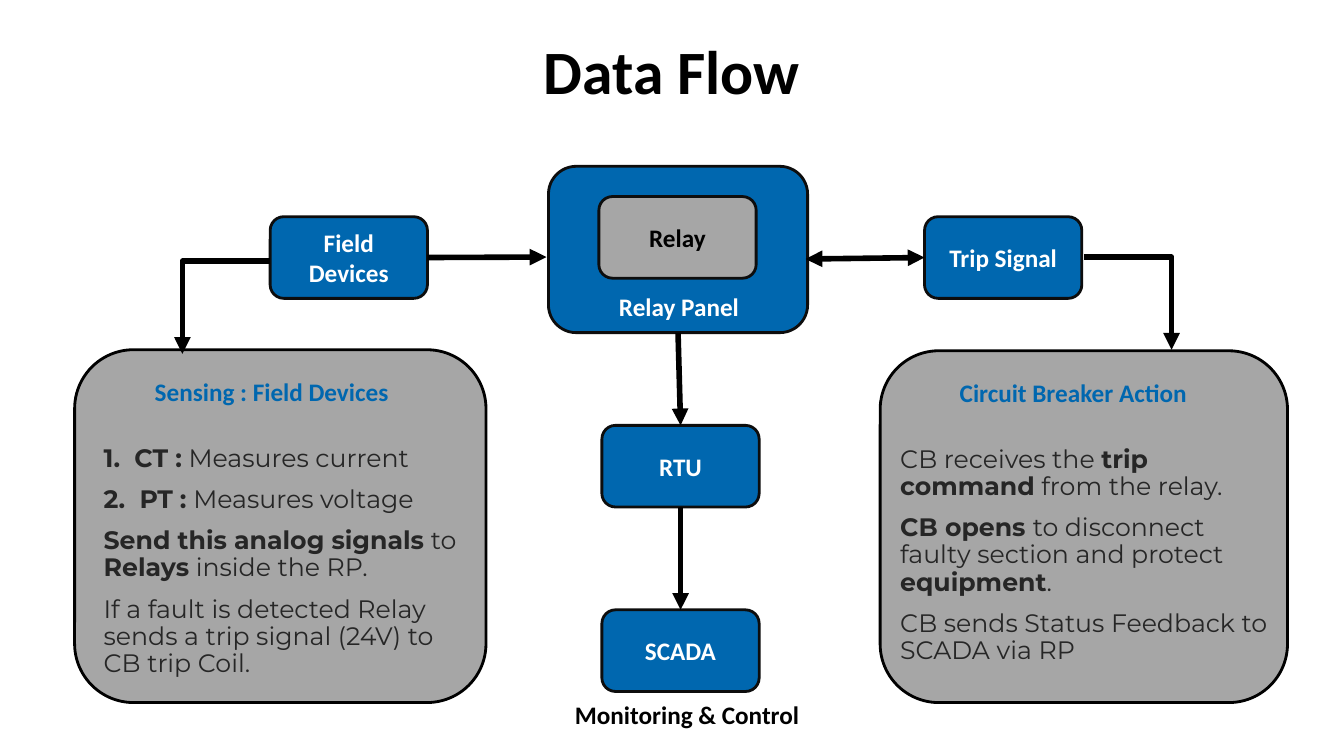
from dataclasses import dataclass

import pptx
import pptx.dml.color
import pptx.enum.shapes
import pptx.enum.text
import pptx.oxml.ns
import pptx.util
from lxml import etree

Inches = pptx.util.Inches
Pt = pptx.util.Pt
Align = pptx.enum.text.PP_ALIGN
Anchor = pptx.enum.text.MSO_ANCHOR
Connector = pptx.enum.shapes.MSO_CONNECTOR
TOP, LEFT, BOTTOM, RIGHT = range(4)


@dataclass(frozen=True)
class Theme:
    blue: str = "0067AF"
    gray: str = "A6A6A6"
    black: str = "000000"
    edge: str = "0D0D0D"
    white: str = "FFFFFF"
    ink: str = "262626"
    label_font: str = "Calibri"
    body_font: str = "Montserrat"
    title_size: int = 44
    text_size: int = 18
    box_line: int = 2
    arrow_line: int = 4


THEME = Theme()
NODE_SIZE = (1.56, 0.81)


def rgb(value):
    return pptx.dml.color.RGBColor.from_string(value)


def set_font(font, name, size, color, bold=None):
    font.name = name
    font.size = Pt(size)
    font.bold = bold
    font.color.rgb = rgb(color)


def write_label(frame, text, color, size=THEME.text_size):
    frame.word_wrap = True
    para = frame.paragraphs[0]
    para.text = text
    para.alignment = Align.CENTER
    set_font(para.font, THEME.label_font, size, color, True)


def add_box(page, box, fill, edge=THEME.edge):
    shape = page.shapes.add_shape(
        pptx.enum.shapes.MSO_SHAPE.ROUNDED_RECTANGLE, *map(Inches, box))
    shape.shadow.inherit = False
    shape.fill.solid()
    shape.fill.fore_color.rgb = rgb(fill)
    shape.line.color.rgb = rgb(edge)
    shape.line.width = Pt(THEME.box_line)
    return shape


def add_node(page, left, top, text, fill=THEME.blue, color=THEME.white):
    node = add_box(page, (left, top, *NODE_SIZE), fill)
    node.text_frame.vertical_anchor = Anchor.MIDDLE
    write_label(node.text_frame, text, color)
    return node


def add_caption(page, left, top, width, text, color):
    caption = page.shapes.add_textbox(*map(Inches, (left, top, width, 0.4)))
    write_label(caption.text_frame, text, color)


def add_arrow(page, start, end, kind=Connector.STRAIGHT, both_ends=False):
    arrow = page.shapes.add_connector(kind, *map(Inches, (*start, *end)))
    arrow.line.color.rgb = rgb(THEME.black)
    arrow.line.width = Pt(THEME.arrow_line)
    qn = pptx.oxml.ns.qn
    properties = arrow._element.spPr
    etree.SubElement(properties, qn("a:effectLst"))
    line = properties.find(qn("a:ln"))
    for tag in ("a:headEnd", "a:tailEnd") if both_ends else ("a:tailEnd",):
        etree.SubElement(line, qn(tag), type="triangle")
    if kind == Connector.ELBOW:
        # A single corner instead of the default two
        properties.find(qn("a:prstGeom")).set("prst", "bentConnector2")
    return arrow


def add_title(page, box):
    title = page.shapes.title
    title.left, title.top, title.width, title.height = map(Inches, box)
    frame = title.text_frame
    frame.auto_size = pptx.enum.text.MSO_AUTO_SIZE.NONE
    frame.vertical_anchor = Anchor.TOP
    write_label(frame, "Data Flow", THEME.black, THEME.title_size)
    frame.paragraphs[0].line_spacing = 0.9


def add_relay_panel(page, box):
    left, top, _, _ = box
    panel = add_box(page, box, THEME.blue)
    add_node(page, left + 0.5, top + 0.3, "Relay", THEME.gray, THEME.black)
    add_caption(page, left + 0.11, top + 1.19, 2.37, "Relay Panel", THEME.white)
    return panel


def add_card(page, box, heading, heading_inset, body_inset, body_width, paragraphs):
    """Gray card; each paragraph is a list of (text, bold) pairs."""
    left, top, _, height = box
    add_box(page, box, THEME.gray, THEME.black)
    add_caption(page, left + heading_inset, top + 0.21, 3.63, heading, THEME.blue)
    body = page.shapes.add_textbox(*map(Inches, (
        left + body_inset, top + 0.9, body_width, height - 0.9)))
    frame = body.text_frame
    frame.word_wrap = True
    for index, parts in enumerate(paragraphs):
        para = frame.add_paragraph() if index else frame.paragraphs[0]
        para.line_spacing = 0.9
        para.space_before = Pt(10)
        set_font(para.font, THEME.body_font, THEME.text_size, THEME.ink)
        for text, bold in parts:
            span = para.add_run()
            span.text = text
            span.font.bold = bold


def add_flow(page):
    # Boxes
    field = add_node(page, 2.68, 2.15, "Field Devices")
    panel = add_relay_panel(page, (5.44, 1.65, 2.57, 1.65))
    trip = add_node(page, 9.17, 2.15, "Trip Signal")
    rtu = add_node(page, 5.97, 4.22, "RTU")
    scada = add_node(page, 5.97, 6.05, "SCADA")
    add_caption(page, 5, 6.89, 3.63, "Monitoring & Control", THEME.black)

    # Arrows across
    add_arrow(page, (4.24, 2.55), (5.42, 2.55)).begin_connect(field, RIGHT)
    feedback = add_arrow(page, (7.99, 2.57), (9.17, 2.55), both_ends=True)
    feedback.end_connect(trip, LEFT)

    # Arrows down the middle
    for upper, lower in ((panel, rtu), (rtu, scada)):
        arrow = add_arrow(page, (6.75, 3.3), (6.75, 4.22))
        arrow.begin_connect(upper, BOTTOM)
        arrow.end_connect(lower, TOP)

    # Bent arrows to the cards
    add_arrow(page, (2.68, 2.59), (1.81, 3.51), Connector.ELBOW)
    add_arrow(page, (10.75, 2.55), (11.62, 3.47), Connector.ELBOW)


def build_data_flow(page):
    add_title(page, (4.43, 0.36, 4.47, 0.56))
    add_card(page, (0.74, 3.47, 4.08, 3.5), "Sensing : Field Devices", 0.14, 0.19, 3.77, [
        [("1.  CT :", True), (" Measures current", False)],
        [("2.  PT :", True), (" Measures voltage", False)],
        [("Send this analog signals", True), (" to ", False),
         ("Relays", True), (" inside the RP.", False)],
        [("If a fault is detected Relay sends a trip signal (24V) to CB trip Coil.", False)],
    ])
    add_card(page, (8.73, 3.48, 4.04, 3.49), "Circuit Breaker Action", 0.1, 0.1, 3.93, [
        [("CB receives the ", False), ("trip command", True), (" from the relay.", False)],
        [("CB opens ", True), ("to disconnect faulty section and protect ", False),
         ("equipment", True), (".", False)],
        [("CB sends Status Feedback to SCADA via RP", False)],
    ])
    add_flow(page)


def main():
    deck = pptx.Presentation()
    deck.slide_width, deck.slide_height = Inches(13.33), Inches(7.5)
    build_data_flow(deck.slides.add_slide(deck.slide_layouts[5]))
    deck.save("out.pptx")


if __name__ == "__main__":
    main()
